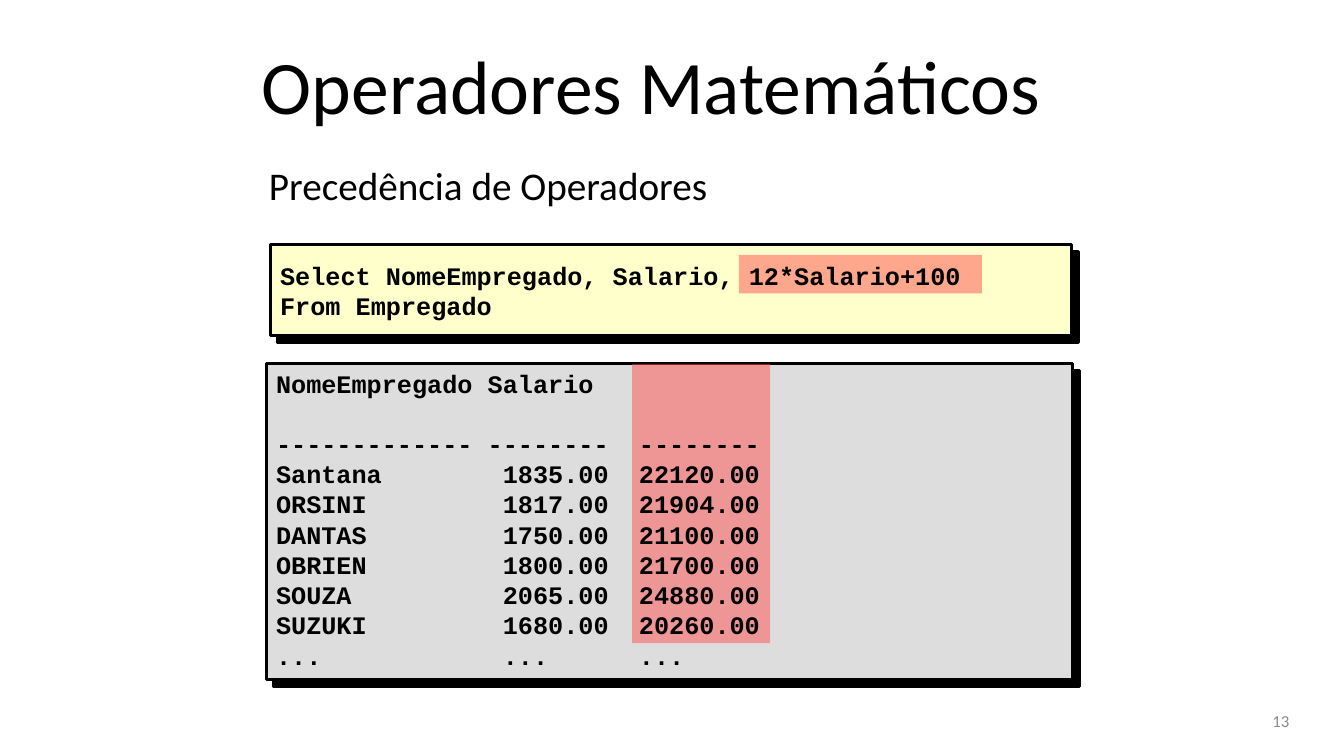
from lxml.etree import SubElement
from pptx import Presentation
from pptx.dml.color import RGBColor
from pptx.enum.shapes import MSO_SHAPE
from pptx.enum.text import MSO_ANCHOR, PP_ALIGN
from pptx.oxml.ns import qn
from pptx.util import Inches, Pt

WIDTH, HEIGHT = Inches(13.333), Inches(7.5)
COLORS = {"ink": "000000", "query": "FFFFCC", "result": "DDDDDD",
          "highlight": "FF5050", "number": "8C8C8C"}
CODE = {"name": "Courier New", "size": Pt(18), "bold": True}
CHAR = Inches(0.15)  # width of one code character
CODE_LINE = Pt(21.6)

QUERY = ["Select NomeEmpregado, Salario, 12*Salario+100", "From Empregado"]
HEADER = ["NomeEmpregado", "Salario"]
RULES = ["-" * 13, "-" * 8, "-" * 8]
EMPLOYEES = [
    ["Santana", "1835.00", "22120.00"],
    ["ORSINI", "1817.00", "21904.00"],
    ["DANTAS", "1750.00", "21100.00"],
    ["OBRIEN", "1800.00", "21700.00"],
    ["SOUZA", "2065.00", "24880.00"],
    ["SUZUKI", "1680.00", "20260.00"],
    ["...", "...", "..."],
]


def place(left, top, width, height):
    """Turn percentages of the slide into lengths."""
    return [round(share * full / 100) for share, full in
            zip((left, top, width, height), (WIDTH, HEIGHT) * 2)]


def rgb(color):
    return RGBColor.from_string(COLORS[color])


def add_block(slide, area, color):
    block = slide.shapes.add_shape(MSO_SHAPE.RECTANGLE, *place(*area))
    block.shadow.inherit = False
    block.fill.solid()
    block.fill.fore_color.rgb = rgb(color)
    return block


def add_panel(slide, area, color):
    """Outlined box with a hard shadow to the lower right."""
    panel = add_block(slide, area, color)
    panel.line.color.rgb = rgb("ink")
    panel.line.width = Pt(2)
    effects = panel._element.spPr.find(qn("a:effectLst"))
    shadow = SubElement(effects, qn("a:outerShdw"), dist=str(Pt(7.1)),
                        dir="2700000", algn="ctr", rotWithShape="0")
    SubElement(shadow, qn("a:srgbClr"), val=COLORS["ink"])


def add_highlight(slide, area):
    highlight = add_block(slide, area, "highlight")
    highlight.line.fill.background()
    tint = highlight._element.spPr.find(qn("a:solidFill")).find(qn("a:srgbClr"))
    SubElement(tint, qn("a:alpha"), val="50000")


def add_text(slide, area, lines, style, color="ink", anchor=MSO_ANCHOR.MIDDLE,
             align=PP_ALIGN.LEFT):
    frame = slide.shapes.add_textbox(*place(*area)).text_frame
    frame.word_wrap = True
    frame.vertical_anchor = anchor
    frame.text = "\n".join(lines)
    for paragraph in frame.paragraphs:
        paragraph.alignment = align
        for run in paragraph.runs:
            run.font.color.rgb = rgb(color)
            for attribute, value in style.items():
                setattr(run.font, attribute, value)
    return frame.paragraphs


def set_columns(paragraph, columns):
    """Left tab stops, given in code characters."""
    stops = SubElement(paragraph._p.get_or_add_pPr(), qn("a:tabLst"))
    for column in columns:
        SubElement(stops, qn("a:tab"), pos=str(column * CHAR), algn="l")


def add_result(slide, area):
    rows = [HEADER, RULES, *EMPLOYEES]
    lines = add_text(slide, area, ["\t".join(row) for row in rows], CODE,
                     anchor=MSO_ANCHOR.TOP)
    for line, row in zip(lines, rows):
        line.line_spacing = CODE_LINE
        set_columns(line, (15 if row in EMPLOYEES else 14, 24))
    lines[1].space_before = CODE_LINE


def main():
    prs = Presentation()
    prs.slide_width, prs.slide_height = WIDTH, HEIGHT
    slide = prs.slides.add_slide(prs.slide_layouts[6])

    # Panels and highlighted expression with its result column
    add_panel(slide, (20.1, 32.4, 59.63, 12), "query")
    add_panel(slide, (19.8, 48.13, 60, 41.73), "result")
    add_highlight(slide, (54.98, 33.73, 18.08, 5.07))
    add_highlight(slide, (47.03, 48.13, 10.28, 36.93))

    # Query and its output
    for line in add_text(slide, (20.1, 32.27, 59.78, 12.4), QUERY, CODE):
        line.line_spacing = CODE_LINE
    add_result(slide, (19.8, 48, 60.23, 37.73))

    # Headings and slide number
    add_text(slide, (18.75, 2.8, 66.23, 16.67), ["Operadores Matemáticos"],
             {"name": "Calibri", "size": Pt(54)})
    add_text(slide, (19.28, 20.67, 34.5, 7.6), ["Precedência de Operadores"],
             {"name": "Calibri", "size": Pt(28)}, anchor=MSO_ANCHOR.TOP)
    add_text(slide, (73.35, 92.67, 23.33, 5.33), ["13"],
             {"name": "Calibri", "size": Pt(12)}, "number", align=PP_ALIGN.RIGHT)

    prs.save("out.pptx")


if __name__ == "__main__":
    main()
